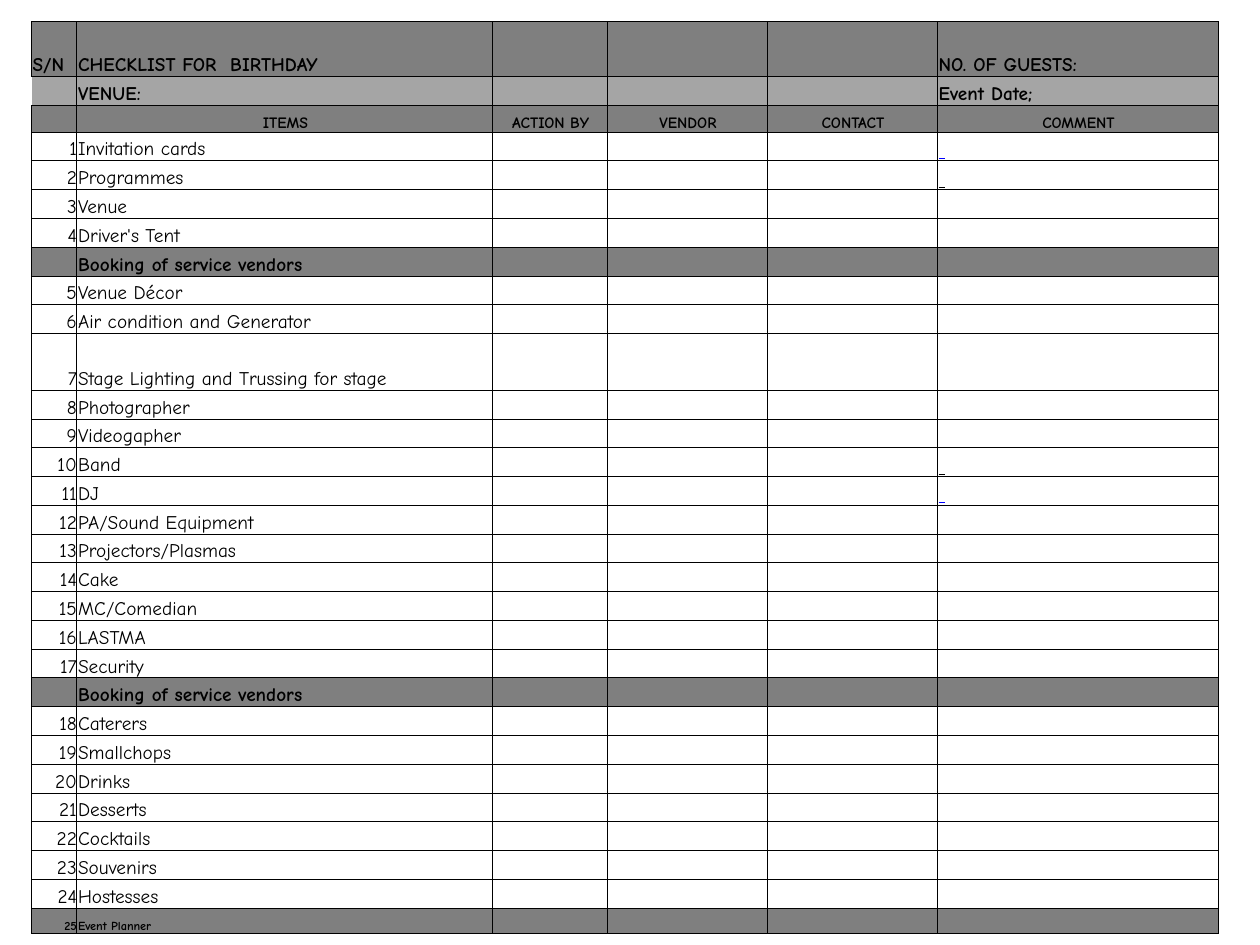
from pptx import Presentation
from pptx.dml.color import RGBColor
from pptx.enum.text import MSO_ANCHOR, PP_ALIGN
from pptx.oxml.ns import qn
from pptx.util import Inches, Pt
from lxml import etree

LEFT, CENTER, RIGHT = PP_ALIGN.LEFT, PP_ALIGN.CENTER, PP_ALIGN.RIGHT
BOTTOM = MSO_ANCHOR.BOTTOM
BLACK = RGBColor(0x00, 0x00, 0x00)
WHITE = RGBColor(0xFF, 0xFF, 0xFF)
DARK_GRAY = RGBColor(0x7F, 0x7F, 0x7F)
LIGHT_GRAY = RGBColor(0xA5, 0xA5, 0xA5)
LINK_BLUE = RGBColor(0x00, 0x00, 0xFF)

COLUMNS = [0.36, 3.3, 0.91, 1.27, 1.35, 2.23]
COMMENT = len(COLUMNS) - 1
TABLE_HEIGHT = 7.24
SPECIAL_HEIGHTS = {"title": 0.44, "heading": 0.21, "tall": 0.45, "last": 0.2}
SECTION = "Booking of service vendors"
TALL_ITEM = "Stage Lighting and Trussing for stage"
LAST_ITEM = "Event Planner"
HEADINGS = ["", "ITEMS", "ACTION BY", "VENDOR", "CONTACT", "COMMENT"]
ITEMS = [
    "Invitation cards", "Programmes", "Venue", "Driver's Tent",
    SECTION,
    "Venue Décor", "Air condition and Generator", TALL_ITEM, "Photographer",
    "Videogapher", "Band", "DJ", "PA/Sound Equipment", "Projectors/Plasmas",
    "Cake ", "MC/Comedian", "LASTMA", "Security",
    SECTION,
    "Caterers ", "Smallchops", "Drinks", "Desserts", "Cocktails", "Souvenirs",
    "Hostesses", LAST_ITEM,
]
COMMENT_MARKS = {"Invitation cards": LINK_BLUE, "Programmes": BLACK,
                 "Band": BLACK, "DJ": LINK_BLUE}


class Checklist:
    """Holds the style and the current page of the checklist."""

    font = "Comic Neue"
    border = 0.5

    def __init__(self, page):
        self.page = page

    def add_table(self, left, top, widths, heights):
        frame = self.page.shapes.add_table(
            len(heights), len(widths), Inches(left), Inches(top),
            Inches(sum(widths)), Inches(sum(heights)))
        table = frame.table
        table.first_row = table.horz_banding = False
        for column, width in zip(table.columns, widths):
            column.width = Inches(width)
        for row, height in zip(table.rows, heights):
            row.height = Inches(height)
        return table

    def add_borders(self, cell, hidden):
        properties = cell._tc.get_or_add_tcPr()
        for side in ("lnL", "lnR", "lnT", "lnB"):
            line = etree.SubElement(properties, qn("a:" + side), w=str(Pt(self.border)))
            if side in hidden:
                etree.SubElement(line, qn("a:noFill"))
            else:
                fill = etree.SubElement(line, qn("a:solidFill"))
                etree.SubElement(fill, qn("a:srgbClr"), val=str(BLACK))

    def fill_cell(self, cell, text, fill, size=11, bold=False, align=LEFT,
                  color=BLACK, underline=False, hidden=()):
        self.add_borders(cell, hidden)
        cell.fill.solid()
        cell.fill.fore_color.rgb = fill
        cell.vertical_anchor = BOTTOM
        cell.margin_left = cell.margin_top = Inches(0.01)
        cell.margin_right = cell.margin_bottom = 0
        para = cell.text_frame.paragraphs[0]
        para.alignment = align
        if not text:
            etree.SubElement(para._p, qn("a:endParaRPr"), sz=str(size * 100))
            return
        span = para.add_run()
        span.text = text
        span.font.name = self.font
        span.font.size = Pt(size)
        span.font.bold = bold
        span.font.color.rgb = color
        if underline:
            span.font.underline = True


def build_rows():
    rows = [
        ("title", ["S/N", "CHECKLIST FOR  BIRTHDAY", "", "", "", "NO. OF GUESTS: "]),
        ("venue", ["", "VENUE: ", "", "", "", "Event Date;"]),
        ("heading", HEADINGS),
    ]
    kinds = {SECTION: "section", TALL_ITEM: "tall", LAST_ITEM: "last"}
    number = 0
    for item in ITEMS:
        kind = kinds.get(item, "item")
        if kind != "section":
            number += 1
        label = "" if kind == "section" else str(number)
        mark = " " if item in COMMENT_MARKS else ""
        rows.append((kind, [label, item, "", "", "", mark]))
    return rows


deck = Presentation()
deck.slide_width, deck.slide_height = Inches(10), Inches(7.5)
checklist = Checklist(deck.slides.add_slide(deck.slide_layouts[6]))

rows = build_rows()
special = [SPECIAL_HEIGHTS[kind] for kind, _ in rows if kind in SPECIAL_HEIGHTS]
regular = (TABLE_HEIGHT - sum(special)) / (len(rows) - len(special))
heights = [SPECIAL_HEIGHTS.get(kind, regular) for kind, _ in rows]
table = checklist.add_table(0.25, 0.17, COLUMNS, heights)

fills = {"item": WHITE, "tall": WHITE, "venue": LIGHT_GRAY}
sizes = {"heading": 9, "last": 7}
for row, (kind, texts) in enumerate(rows):
    listed = kind in ("item", "tall", "last")
    for column, text in enumerate(texts):
        marked = column == COMMENT and texts[1] in COMMENT_MARKS
        align = CENTER if kind == "heading" else LEFT
        if listed and column == 0:
            align = RIGHT
        checklist.fill_cell(
            table.cell(row, column), text, fills.get(kind, DARK_GRAY),
            size=sizes.get(kind, 11), bold=kind not in ("item", "tall"), align=align,
            color=COMMENT_MARKS[texts[1]] if marked else BLACK, underline=marked,
            hidden=("lnL",) if kind == "venue" and column == 0 else ())

deck.save("out.pptx")
